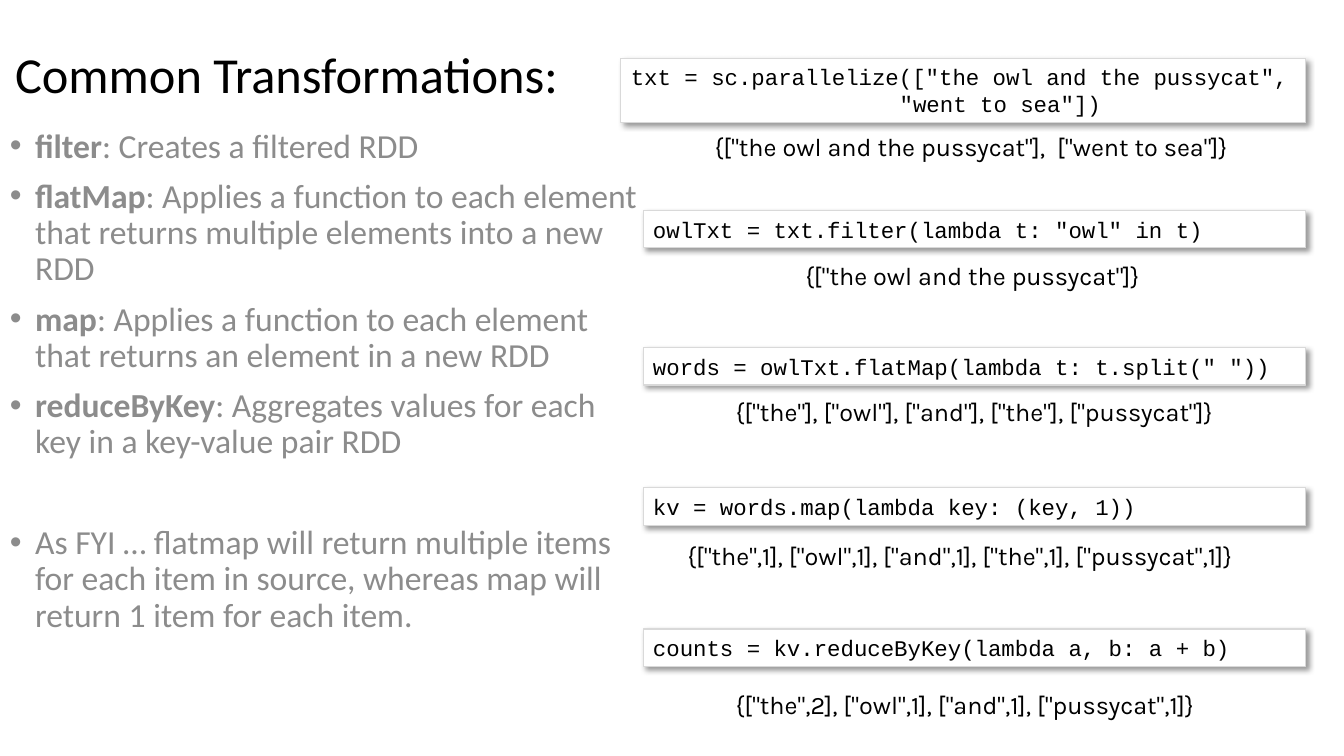
from collections import namedtuple
from lxml.etree import SubElement
from pptx import Presentation
from pptx.dml.color import RGBColor
from pptx.enum.shapes import MSO_SHAPE
from pptx.enum.text import MSO_ANCHOR, PP_ALIGN
from pptx.oxml.ns import qn
from pptx.util import Inches, Pt

COLORS = {"ink": "000000", "muted": "8C8C8C", "paper": "FFFFFF", "edge": "D9D9D9"}
WIDTH, HEIGHT = Inches(13.33), Inches(7.5)
COLUMN, ROW = WIDTH / 100, HEIGHT / 100
Box = namedtuple("Box", "left top width height")

BULLETS = [
    ("filter", ": Creates a filtered RDD", 0),
    ("flatMap", ": Applies a function to each element that returns multiple elements into a new RDD", 10),
    ("map", ": Applies a function to each element that returns an element in a new RDD", 10),
    ("reduceByKey", ": Aggregates values for each key in a key-value pair RDD", 10),
    ("", "As FYI … flatmap will return multiple items for each item in source, "
         "whereas map will return 1 item for each item.", 46),
]

CODE_HEIGHT = 4.93
FIRST_STEP = Box(46.2, 7.73, 50.95, 8.53)
STEP_LEFT, STEP_WIDTH = 47.85, 49.3
CONTINUATION_INDENT = 20 * 0.6 * 16

STEPS = [
    (Box(STEP_LEFT, 27.87, STEP_WIDTH, CODE_HEIGHT),
     ['owlTxt = txt.filter(lambda t: "owl" in t)'],
     '{["the owl and the pussycat"]}', 11.33, 5.86),
    (Box(STEP_LEFT, 46, STEP_WIDTH, CODE_HEIGHT),
     ['words = owlTxt.flatMap(lambda t: t.split(" "))'],
     '{["the"], ["owl"], ["and"], ["the"], ["pussycat"]}', 6.15, 5.73),
    (Box(STEP_LEFT, 64.53, STEP_WIDTH, CODE_HEIGHT),
     ["kv = words.map(lambda key: (key, 1))"],
     '{["the",1], ["owl",1], ["and",1], ["the",1], ["pussycat",1]}', 2.55, 6.27),
    (Box(STEP_LEFT, 83.2, STEP_WIDTH, CODE_HEIGHT),
     ["counts = kv.reduceByKey(lambda a, b: a + b)"],
     '{["the",2], ["owl",1], ["and",1], ["pussycat",1]}', 6.15, 7.33),
    (FIRST_STEP,
     ['txt = sc.parallelize(["the owl and the pussycat",', '"went to sea"])'],
     '{["the owl and the pussycat"],  ["went to sea"]}', 6.23, 8.94),
]


def place(box):
    return (round(box.left * COLUMN), round(box.top * ROW),
            round(box.width * COLUMN), round(box.height * ROW))


def add_text(para, text, font="Calibri", size=24, color="ink", bold=False):
    span = para.add_run()
    span.text = text
    span.font.name = font
    span.font.size = Pt(size)
    span.font.bold = bold
    span.font.color.rgb = RGBColor.from_string(COLORS[color])


def add_text_box(page, box, anchor=MSO_ANCHOR.TOP):
    frame = page.shapes.add_textbox(*place(box)).text_frame
    frame.word_wrap = True
    frame.vertical_anchor = anchor
    return frame


def indent(para, margin, first_line=0):
    properties = para._p.get_or_add_pPr()
    properties.set("marL", str(Pt(margin)))
    properties.set("indent", str(Pt(first_line)))
    return properties


def add_title(page, box):
    para = add_text_box(page, box, MSO_ANCHOR.MIDDLE).paragraphs[0]
    para.line_spacing = 0.9
    add_text(para, "Common Transformations:", size=36)


def add_bullets(page, box):
    frame = add_text_box(page, box)
    frame.margin_top = round(0.8 * ROW)
    for index, (term, meaning, gap) in enumerate(BULLETS):
        para = frame.add_paragraph() if index else frame.paragraphs[0]
        para.line_spacing = 0.9
        para.space_before = Pt(gap)
        properties = indent(para, 18, -18)
        SubElement(properties, qn("a:buFont"), typeface="Arial")
        SubElement(properties, qn("a:buChar"), char="•")
        if term:
            add_text(para, term, color="muted", bold=True)
        add_text(para, meaning, color="muted")


def add_shadow(shape):
    shape.shadow.inherit = False
    effects = shape._element.spPr.find(qn("a:effectLst"))
    shadow = SubElement(effects, qn("a:outerShdw"), blurRad=str(Pt(4)), dist=str(Pt(3)),
                        dir=str(45 * 60000), algn="tl", rotWithShape="0")
    color = SubElement(shadow, qn("a:srgbClr"), val=COLORS["ink"])
    SubElement(color, qn("a:alpha"), val="40000")


def add_code(page, box, lines):
    panel = page.shapes.add_shape(MSO_SHAPE.RECTANGLE, *place(box))
    panel.fill.solid()
    panel.fill.fore_color.rgb = RGBColor.from_string(COLORS["paper"])
    panel.line.color.rgb = RGBColor.from_string(COLORS["edge"])
    panel.line.width = Pt(0.75)
    add_shadow(panel)
    frame = panel.text_frame
    frame.word_wrap = True
    frame.vertical_anchor = MSO_ANCHOR.TOP
    for index, line in enumerate(lines):
        para = frame.add_paragraph() if index else frame.paragraphs[0]
        para.alignment = PP_ALIGN.LEFT
        if index:
            indent(para, CONTINUATION_INDENT)
        add_text(para, line, font="Courier New", size=16)


def add_step(page, box, lines, result, shift, drop):
    add_code(page, box, lines)
    result_box = Box(box.left + shift, box.top + drop, box.width - shift, 5.33)
    add_text(add_text_box(page, result_box).paragraphs[0], result, font="Karla", size=18)


def main():
    deck = Presentation()
    deck.slide_width, deck.slide_height = WIDTH, HEIGHT
    page = deck.slides.add_slide(deck.slide_layouts[6])
    add_title(page, Box(0.38, 0.53, 86.27, 19.33))
    add_bullets(page, Box(0, 16.27, 48.39, 79.6))
    for step in STEPS:
        add_step(page, *step)
    deck.save("out.pptx")


if __name__ == "__main__":
    main()
